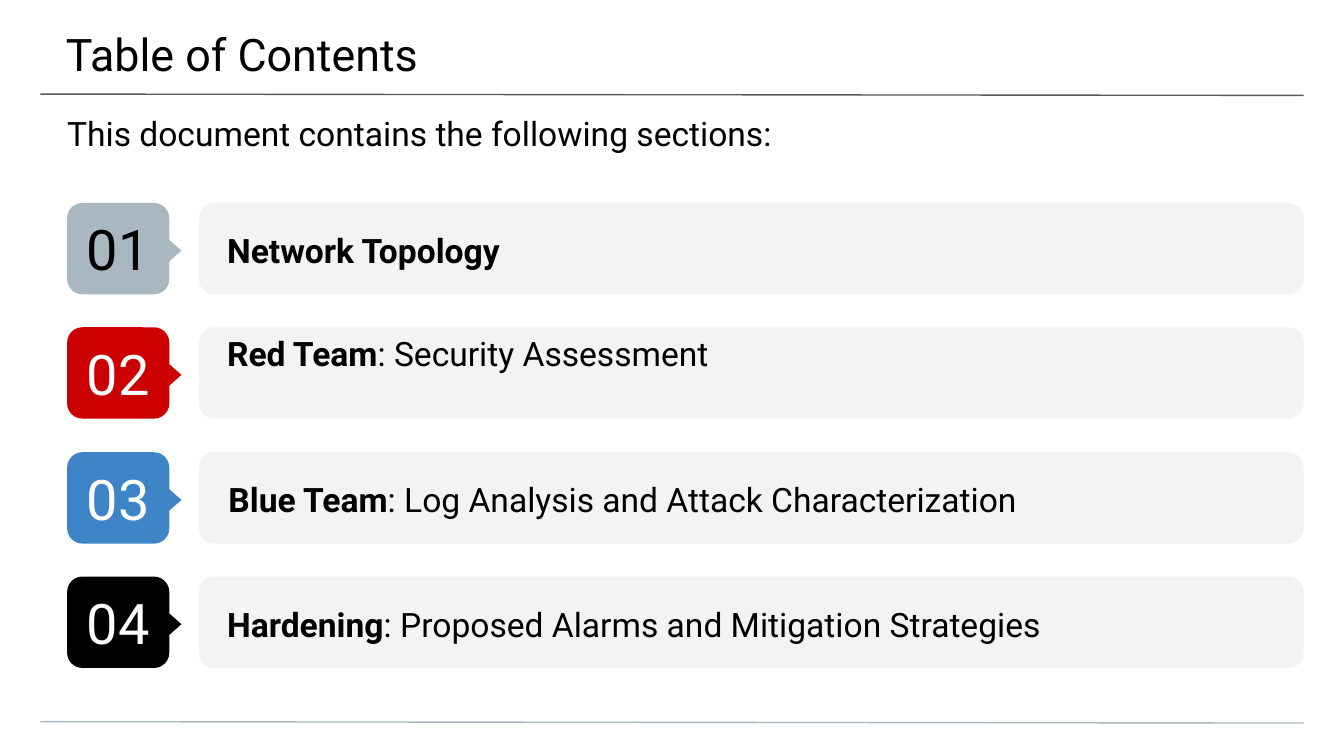
from dataclasses import dataclass

from lxml.etree import SubElement
from pptx import Presentation
from pptx.dml.color import RGBColor
from pptx.enum.shapes import MSO_CONNECTOR, MSO_SHAPE
from pptx.enum.text import MSO_ANCHOR, MSO_AUTO_SIZE, PP_ALIGN
from pptx.oxml.ns import qn
from pptx.util import Pt

TITLE = "Table of Contents"
INTRO = "This document contains the following sections:"
# number, badge fill, number colour, bold text, plain text, text left, anchor
SECTIONS = [
    ("01", "A9B7C0", "000000", "Network Topology", "", -2, MSO_ANCHOR.MIDDLE),
    ("02", "CC0000", "FFFFFF", "Red Team", ": Security Assessment", -2, MSO_ANCHOR.TOP),
    ("03", "3D85C6", "FFFFFF", "Blue Team",
     ": Log Analysis and Attack Characterization", 0, MSO_ANCHOR.MIDDLE),
    ("04", "000000", "FFFFFF", "Hardening",
     ": Proposed Alarms and Mitigation Strategies", -2, MSO_ANCHOR.MIDDLE),
]


@dataclass(frozen=True)
class Theme:
    font: str = "Roboto"
    ink: str = "000000"
    bar: str = "F3F3F3"
    top_rule: str = "595959"
    bottom_rule: str = "A9B7C0"
    title: int = 24
    body: int = 18
    number: int = 30
    rule: float = 0.75


THEME = Theme()
PX = 4572  # 200 px to the inch
WIDTH, HEIGHT = 2000, 1125
FIRST_TOP, LAST_TOP, ROW_H = 302, 858, 136
BADGE_X, BADGE_W = 100, 152
BAR_X, BAR_W = 296, 1644
POINTER_X, POINTER_DY, POINTER_W, POINTER_H = 212, 50, 74, 42


def px(*lengths):
    return [n * PX for n in lengths]


def set_frame(s, insets, anchor=MSO_ANCHOR.TOP):
    tf = s.text_frame
    tf.word_wrap = True
    tf.auto_size = MSO_AUTO_SIZE.NONE
    tf.vertical_anchor = anchor
    tf.margin_left, tf.margin_top, tf.margin_right, tf.margin_bottom = px(*insets)
    return tf.paragraphs[0]


def add_run(p, text, size, color=THEME.ink, bold=False):
    r = p.add_run()
    r.text = text
    r.font.name, r.font.size, r.font.bold = THEME.font, Pt(size), bold
    r.font.color.rgb = RGBColor.from_string(color)


def add_block(shapes, kind, box, fill):
    s = shapes.add_shape(kind, *px(*box))
    s.shadow.inherit = False
    s.fill.solid()
    s.fill.fore_color.rgb = RGBColor.from_string(fill)
    s.line.fill.background()
    return s


def add_rule(shapes, y, color):
    s = shapes.add_connector(MSO_CONNECTOR.STRAIGHT, *px(60, y, 1940, y + 2))
    s.line.color.rgb = RGBColor.from_string(color)
    s.line.width = Pt(THEME.rule)
    SubElement(s._element.spPr, qn("a:effectLst"))


def add_badge(shapes, top, number, fill, color):
    """Add a numbered tile with a pointer towards its bar."""
    group = shapes.add_group_shape().shapes
    tile = add_block(group, MSO_SHAPE.ROUNDED_RECTANGLE, (BADGE_X, top, BADGE_W, ROW_H), fill)
    p = set_frame(tile, (20, 20, 20, 20), MSO_ANCHOR.MIDDLE)
    p.alignment = PP_ALIGN.CENTER
    add_run(p, number, THEME.number, color)
    pointer = add_block(group, MSO_SHAPE.FLOWCHART_EXTRACT,
                        (POINTER_X, top + POINTER_DY, POINTER_W, POINTER_H), fill)
    pointer.rotation = 90


def add_section(shapes, top, section):
    number, fill, color, name, detail, left, anchor = section
    add_block(shapes, MSO_SHAPE.ROUNDED_RECTANGLE, (BAR_X, top, BAR_W, ROW_H), THEME.bar)
    add_badge(shapes, top, number, fill, color)
    label = shapes.add_textbox(*px(left, top, 2006, 132))
    p = set_frame(label, (340, 0, 100, 0), anchor)
    p.line_spacing = 1.15
    add_run(p, name, THEME.body, bold=True)
    if detail:
        add_run(p, detail, THEME.body)


def main():
    prs = Presentation()
    prs.slide_width, prs.slide_height = px(WIDTH, HEIGHT)
    shapes = prs.slides.add_slide(prs.slide_layouts[5]).shapes

    add_rule(shapes, 140, THEME.top_rule)
    add_rule(shapes, 1074, THEME.bottom_rule)

    title = shapes.title
    title.left, title.top, title.width, title.height = px(-2, 0, 2006, 116)
    p = set_frame(title, (100, 40, 60, 20))
    p.alignment = PP_ALIGN.LEFT
    add_run(p, TITLE, THEME.title)

    intro = shapes.add_textbox(*px(0, 148, 2000, 80))
    add_run(set_frame(intro, (100, 20, 100, 0)), INTRO, THEME.body)

    pitch = (LAST_TOP - FIRST_TOP) / (len(SECTIONS) - 1)
    for i, section in enumerate(SECTIONS):
        add_section(shapes, round(FIRST_TOP + i * pitch), section)

    prs.save("out.pptx")


if __name__ == "__main__":
    main()
